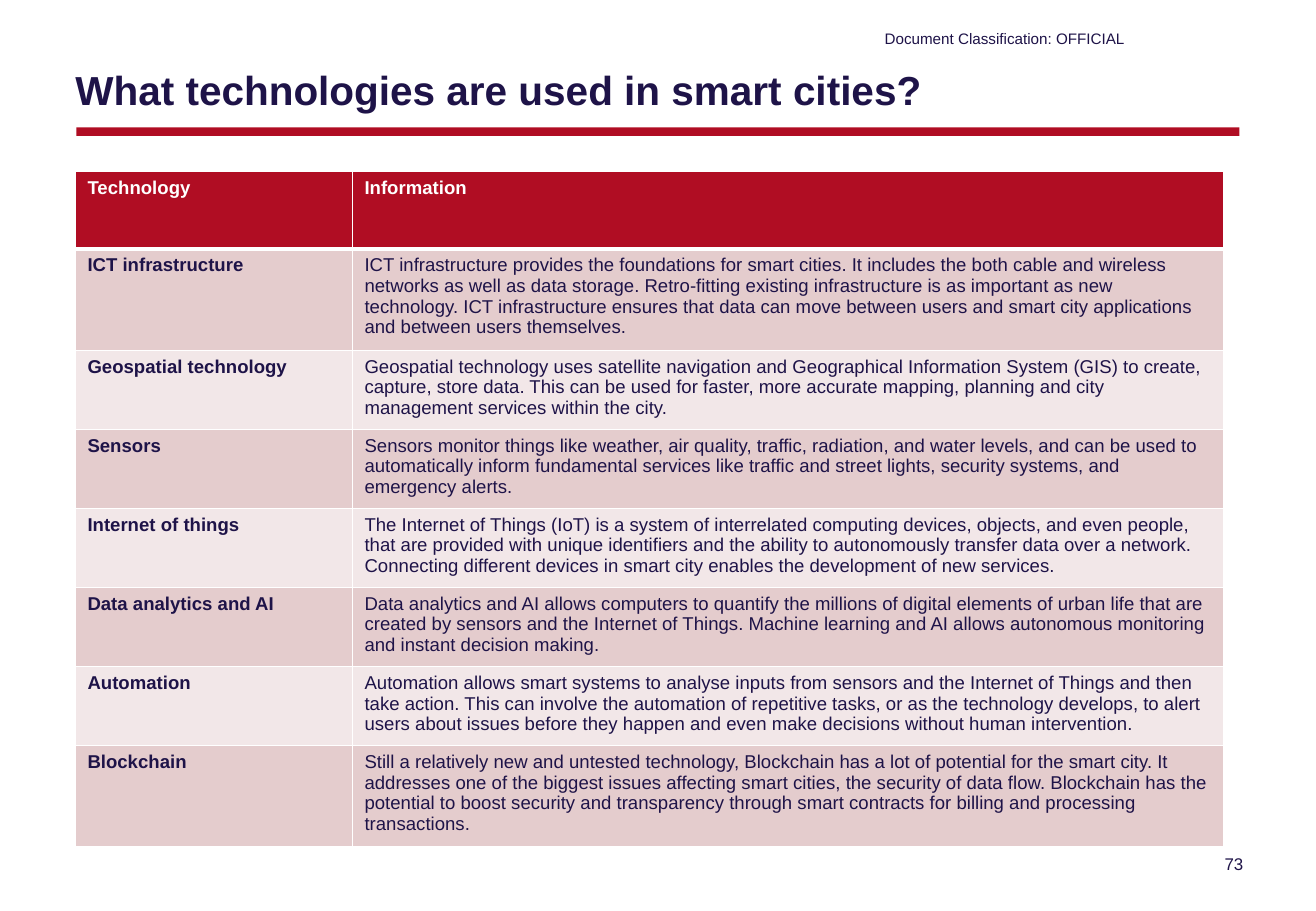
from lxml.etree import SubElement
from pptx import Presentation
from pptx.dml.color import RGBColor
from pptx.enum.shapes import MSO_SHAPE as Shape
from pptx.enum.text import MSO_ANCHOR as Anchor, PP_ALIGN as Align
from pptx.oxml.ns import qn
from pptx.util import Inches, Pt

FONT = "Arial"
COLORS = {
    "navy": "1E1348",
    "red": "B00D23",
    "white": "FFFFFF",
    "dark_band": "E4CCCD",
    "light_band": "F2E7E8",
}
TECHNOLOGIES = [
    ("Technology", "Information"),
    ("ICT infrastructure",
     "ICT infrastructure provides the foundations for smart cities. It includes the both cable "
     "and wireless networks as well as data storage. Retro-fitting existing infrastructure is as "
     "important as new technology. ICT infrastructure ensures that data can move between users "
     "and smart city applications and between users themselves."),
    ("Geospatial technology",
     "Geospatial technology uses satellite navigation and Geographical Information System (GIS) "
     "to create, capture, store data. This can be used for faster, more accurate mapping, "
     "planning and city management services within the city."),
    ("Sensors",
     "Sensors monitor things like weather, air quality, traffic, radiation, and water levels, "
     "and can be used to automatically inform fundamental services like traffic and street "
     "lights, security systems, and emergency alerts."),
    ("Internet of things",
     "The Internet of Things (IoT) is a system of interrelated computing devices, objects, and "
     "even people, that are provided with unique identifiers and the ability to autonomously "
     "transfer data over a network. Connecting different devices in smart city enables the "
     "development of new services."),
    ("Data analytics and AI",
     "Data analytics and AI allows computers to quantify the millions of digital elements of "
     "urban life that are created by sensors and the Internet of Things. Machine learning and AI "
     "allows autonomous monitoring and instant decision making."),
    ("Automation",
     "Automation allows smart systems to analyse inputs from sensors and the Internet of Things "
     "and then take action. This can involve the automation of repetitive tasks, or as the "
     "technology develops, to alert users about issues before they happen and even make "
     "decisions without human intervention."),
    ("Blockchain",
     "Still a relatively new and untested technology, Blockchain has a lot of potential for the "
     "smart city. It addresses one of the biggest issues affecting smart cities, the security of "
     "data flow. Blockchain has the potential to boost security and transparency through smart "
     "contracts for billing and processing transactions."),
]


def rgb(name):
    return RGBColor.from_string(COLORS[name])


class SlideBuilder:
    def __init__(self, slide):
        self.slide = slide

    def set_text(self, text_frame, text, size, color="navy", bold=False, align=Align.LEFT):
        text_frame.text = text
        text_frame.word_wrap = True
        paragraph = text_frame.paragraphs[0]
        paragraph.alignment = align
        font = paragraph.runs[0].font
        font.name, font.size, font.bold = FONT, Pt(size), bold
        font.color.rgb = rgb(color)

    def title(self, text, left, top, width, height):
        shape = self.slide.shapes.title
        shape.left, shape.top = Inches(left), Inches(top)
        shape.width, shape.height = Inches(width), Inches(height)
        self.set_text(shape.text_frame, text, 24, bold=True)
        shape.text_frame.vertical_anchor = Anchor.MIDDLE
        shape.text_frame.margin_left = shape.text_frame.margin_right = 0

    def bar(self, left, top, width, height):
        shape = self.slide.shapes.add_shape(
            Shape.RECTANGLE, Inches(left), Inches(top), Inches(width), Inches(height))
        shape.shadow.inherit = False
        shape.fill.solid()
        shape.fill.fore_color.rgb = rgb("red")
        shape.line.fill.background()

    def label(self, text, left, top, width, height, size, align=Align.LEFT, margins=None):
        box = self.slide.shapes.add_textbox(
            Inches(left), Inches(top), Inches(width), Inches(height))
        frame = box.text_frame
        self.set_text(frame, text, size, align=align)
        if margins is not None:
            frame.margin_left = frame.margin_right = Inches(margins)
            frame.margin_top = frame.margin_bottom = Inches(margins)
            frame.vertical_anchor = Anchor.MIDDLE

    def cell_borders(self, cell, widths):
        """Draw white borders; widths maps left, right, top and bottom tags to points."""
        properties = cell._tc.get_or_add_tcPr()
        for position, (tag, width) in enumerate(widths.items()):
            line = SubElement(properties, qn(f"a:{tag}"), w=str(Pt(width)))
            fill = SubElement(line, qn("a:solidFill"))
            SubElement(fill, qn("a:srgbClr"), val=COLORS["white"])
            properties.insert(position, line)

    def table(self, rows, left, top, column_widths, row_height):
        table = self.slide.shapes.add_table(
            len(rows), len(column_widths), Inches(left), Inches(top),
            Inches(sum(column_widths)), Inches(row_height * len(rows))).table
        for column, width in zip(table.columns, column_widths):
            column.width = Inches(width)
        for row_index, texts in enumerate(rows):
            table.rows[row_index].height = Inches(row_height)
            is_header = row_index == 0
            band = "red" if is_header else "dark_band" if row_index % 2 else "light_band"
            widths = {"lnL": 1, "lnR": 1, "lnT": 3 if row_index == 1 else 1,
                      "lnB": 3 if is_header else 1}
            for column_index, text in enumerate(texts):
                cell = table.cell(row_index, column_index)
                self.set_text(cell.text_frame, text, 11, "white" if is_header else "navy",
                              bold=is_header or column_index == 0)
                cell.fill.solid()
                cell.fill.fore_color.rgb = rgb(band)
                self.cell_borders(cell, widths)


def main():
    presentation = Presentation()
    presentation.slide_width, presentation.slide_height = Inches(10.83), Inches(7.5)
    title_only = presentation.slide_layouts[5]
    builder = SlideBuilder(presentation.slides.add_slide(title_only))
    builder.bar(0.63, 1.05, 9.57, 0.07)
    builder.label("Document Classification: OFFICIAL", 7.28, 0.24, 2.01, 0.16, 9, margins=0)
    builder.label("73", 9.82, 6.98, 0.51, 0.24, 10, align=Align.RIGHT)
    builder.title("What technologies are used in smart cities?", 0.62, 0.38, 9.65, 0.71)
    builder.table(TECHNOLOGIES, 0.62, 1.41, [2.28, 7.17], 0.64)
    presentation.save("out.pptx")


if __name__ == "__main__":
    main()
